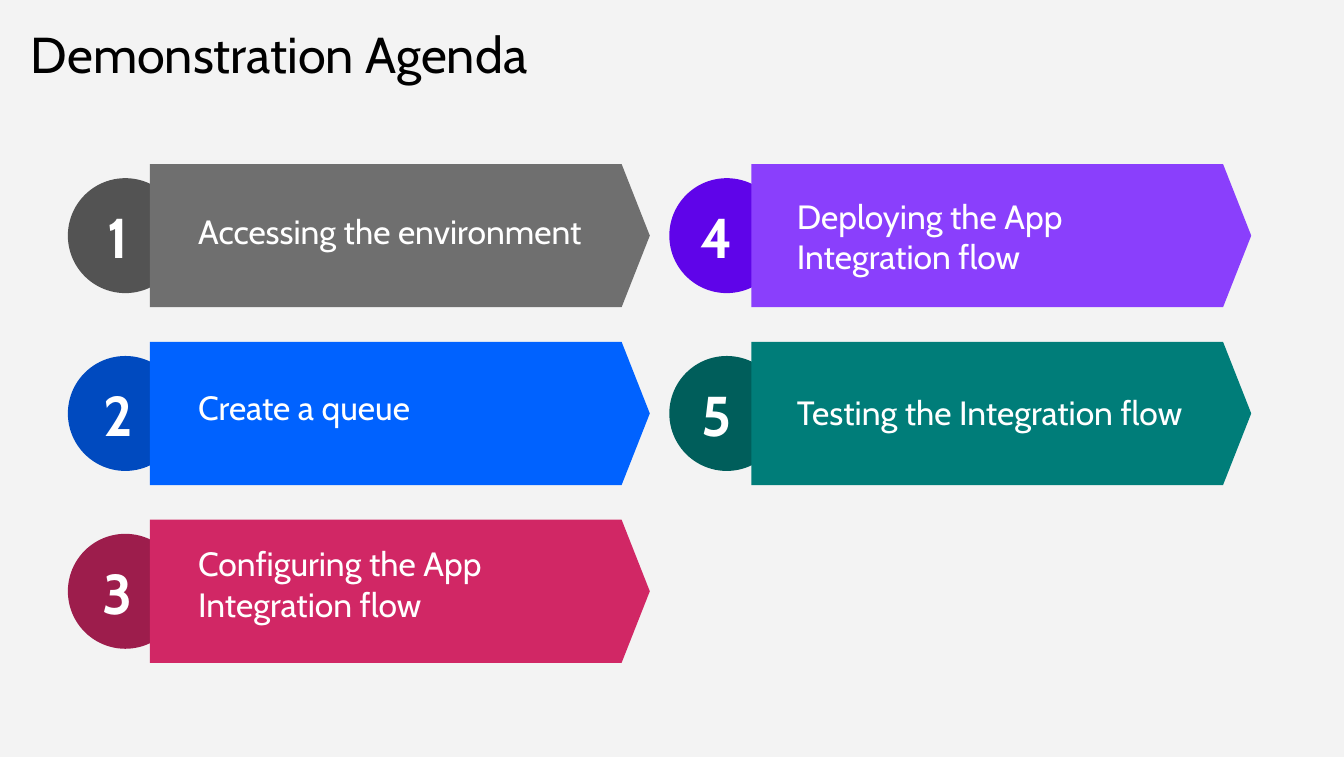
from pptx import Presentation
from pptx.dml.color import RGBColor
from pptx.enum.shapes import MSO_SHAPE as SHAPE
from pptx.enum.text import MSO_ANCHOR as ANCHOR, PP_ALIGN as ALIGN
from pptx.util import Inches, Pt

FONT = "Cabin"
TOP = 2.44
ROW_PITCH = 2.645
LABEL_PITCH = 2.62

# Each column: left of circle, number and label; label top and width; steps.
# Each step: label, circle colour, arrow colour.
COLUMNS = [
    (1.01, 1.24, 2.95, 2.7, 5.97, [
        ("Accessing the environment", "535353", "6F6F6F"),
        ("Create a queue", "004ABF", "0062FF"),
        ("Configuring the App Integration flow", "9D1D4C", "D12765"),
    ]),
    (9.96, 10.15, 11.86, 2.77, 6.16, [
        ("Deploying the App Integration flow", "5F04E9", "8A3FFC"),
        ("Testing the Integration flow", "005E5B", "007D79"),
    ]),
]


def paint(fill, color):
    fill.solid()
    fill.fore_color.rgb = RGBColor.from_string(color)


def add_shape(s, kind, x, y, w, h, color):
    sp = s.shapes.add_shape(kind, Inches(x), Inches(y), Inches(w), Inches(h))
    sp.shadow.inherit = False
    paint(sp.fill, color)
    sp.line.fill.background()
    return sp


def add_text(s, text, x, y, w, h, size, color="FFFFFF", bold=False,
             align=ALIGN.LEFT, anchor=ANCHOR.MIDDLE):
    """Add a one-paragraph text box without margins and return the paragraph."""
    sp = s.shapes.add_textbox(Inches(x), Inches(y), Inches(w), Inches(h))
    tf = sp.text_frame
    tf.word_wrap = True
    tf.vertical_anchor = anchor
    tf.margin_left = tf.margin_right = tf.margin_top = tf.margin_bottom = 0
    p = tf.paragraphs[0]
    p.alignment = align
    r = p.add_run()
    r.text = text
    r.font.name = FONT
    r.font.size = Pt(size)
    r.font.bold = bold
    paint(r.font.fill, color)
    return p


def add_banner(s, x, y, circle_color, arrow_color):
    """Add a circle partly covered by an arrow-shaped banner."""
    add_shape(s, SHAPE.OVAL, x, y + 0.21, 1.71, 1.71, circle_color)
    arrow = add_shape(s, SHAPE.PENTAGON, x + 1.22, y, 7.44, 2.13, arrow_color)
    arrow.adjustments[0] = 0.197


def main():
    prs = Presentation()
    prs.slide_width, prs.slide_height = Inches(20), Inches(11.26)
    s = prs.slides.add_slide(prs.slide_layouts[6])
    paint(s.background.fill, "F3F3F3")

    title = add_text(s, "Demonstration Agenda", 0.46, 0.44, 9.06, 9.4, 54,
                     color="000000", anchor=ANCHOR.TOP)
    title.line_spacing = 0.9

    number = 0
    for circle_x, number_x, label_x, label_y, label_w, steps in COLUMNS:
        for row, (label, circle_color, arrow_color) in enumerate(steps):
            number += 1
            y = TOP + row * ROW_PITCH
            add_banner(s, circle_x, y, circle_color, arrow_color)
            add_text(s, str(number), number_x, y + 0.48, 1.03, 1.18, 60,
                     bold=True, align=ALIGN.CENTER)
            add_text(s, label, label_x, label_y + row * LABEL_PITCH,
                     label_w, 1.48, 36)

    prs.save("out.pptx")


if __name__ == "__main__":
    main()
